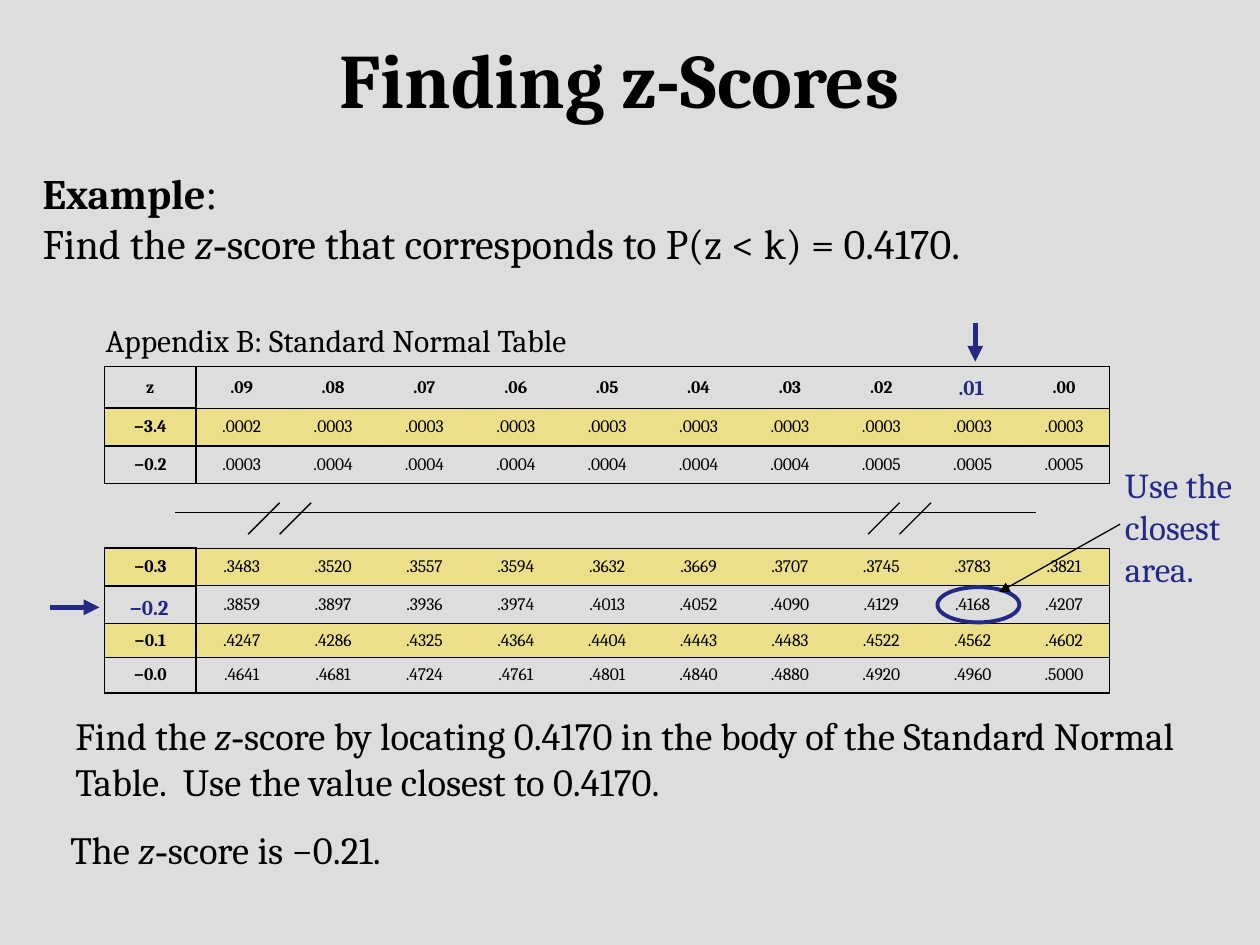
from dataclasses import dataclass

import pptx
import pptx.dml.color
import pptx.enum.shapes
import pptx.enum.text
import pptx.oxml
import pptx.oxml.ns
import pptx.util
from pptx.util import Inches

COLORS = {"background": "DDDDDD", "ink": "000000", "accent": "242985", "band": "FBE136"}
SERIF = "Cambria"
HYPHEN_FONT = "Times New Roman"
ANCHOR = pptx.enum.text.MSO_ANCHOR
SHAPE = pptx.enum.shapes.MSO_SHAPE
FIRST_COLUMN_RULE, ROW_RULE = 1, 0.75


@dataclass(frozen=True)
class Run:
    text: str
    bold: bool = False
    italic: bool = False
    font: str = SERIF


@dataclass(frozen=True)
class TextBlock:
    box: tuple[float, float, float, float]
    paragraphs: list[list[Run]]
    size: float
    color: str = "ink"
    wrap: bool = True


@dataclass(frozen=True)
class Line:
    start: tuple[float, float]
    end: tuple[float, float]
    color: str = "ink"
    width: float = 0.75
    arrow: bool = False


@dataclass(frozen=True)
class NormalTable:
    top: float
    heights: list[float]
    rows: list[str]
    banded_rows: set[int]
    has_header: bool = False


def rgb(name: str) -> pptx.dml.color.RGBColor:
    return pptx.dml.color.RGBColor.from_string(COLORS[name])


def style_font(font, size: float, color: str, bold: bool = False,
               italic: bool = False, face: str = SERIF) -> None:
    font.name, font.size = face, pptx.util.Pt(size)
    font.bold, font.italic = bold, italic
    font.color.rgb = rgb(color)


def inches(box: tuple) -> list:
    return [Inches(length) for length in box]


def z_score_sentence(before: str, after: str) -> list[Run]:
    return [Run(before), Run("z", italic=True), Run("-", font=HYPHEN_FONT), Run(after)]


def draw_text(slide, block: TextBlock) -> None:
    frame = slide.shapes.add_textbox(*inches(block.box)).text_frame
    frame.word_wrap = block.wrap
    for index, runs in enumerate(block.paragraphs):
        paragraph = frame.add_paragraph() if index else frame.paragraphs[0]
        for part in runs:
            run = paragraph.add_run()
            run.text = part.text
            style_font(run.font, block.size, block.color, part.bold, part.italic, part.font)


def draw_line(slide, line: Line) -> None:
    connector = slide.shapes.add_connector(
        pptx.enum.shapes.MSO_CONNECTOR.STRAIGHT, *inches(line.start), *inches(line.end))
    connector.line.color.rgb = rgb(line.color)
    connector.line.width = pptx.util.Pt(line.width)
    if line.arrow:
        pptx.oxml.ns.qn("a:tailEnd")
        tail = connector.line._get_or_add_ln().makeelement(
            pptx.oxml.ns.qn("a:tailEnd"), {"type": "triangle"})
        connector.line._get_or_add_ln().append(tail)
    properties = connector._element.spPr
    properties.append(properties.makeelement(pptx.oxml.ns.qn("a:effectLst"), {}))


def add_border(cell, side: str, width: float) -> None:
    """Draw one cell border; a width of zero hides it."""
    paint = f'<a:solidFill><a:srgbClr val="{COLORS["ink"]}"/></a:solidFill>' if width else "<a:noFill/>"
    cell._tc.get_or_add_tcPr().append(pptx.oxml.parse_xml(
        f'<a:ln{side} {pptx.oxml.ns.nsdecls("a")} w="{int(width * 12700)}">{paint}</a:ln{side}>'))


def fill_cell(cell, banded: bool) -> None:
    if not banded:
        cell.fill.background()
        return
    cell.fill.solid()
    cell.fill.fore_color.rgb = rgb("band")
    color = cell._tc.tcPr.find(pptx.oxml.ns.qn("a:solidFill"))[0]
    color.append(color.makeelement(pptx.oxml.ns.qn("a:alpha"), {"val": "50000"}))


def draw_table(slide, spec_table: NormalTable) -> None:
    rows = [row.split() for row in spec_table.rows]
    columns = len(rows[0])
    table = slide.shapes.add_table(
        len(rows), columns,
        *inches((0.83, spec_table.top, 7.98, sum(spec_table.heights)))).table
    table.first_row = table.horz_banding = False
    for r, values in enumerate(rows):
        table.rows[r].height = Inches(spec_table.heights[r])
        for c, value in enumerate(values):
            cell = table.cell(r, c)
            cell.vertical_anchor = ANCHOR.MIDDLE
            cell.text_frame.text = value
            paragraph = cell.text_frame.paragraphs[0]
            paragraph.alignment = pptx.enum.text.PP_ALIGN.CENTER
            bold = c == 0 or (spec_table.has_header and r == 0)
            style_font(paragraph.runs[0].font, 10, "ink", bold)
            row_rule = FIRST_COLUMN_RULE if c == 0 else ROW_RULE
            add_border(cell, "L", {0: ROW_RULE, 1: FIRST_COLUMN_RULE}.get(c, 0))
            add_border(cell, "R", {0: FIRST_COLUMN_RULE, columns - 1: ROW_RULE}.get(c, 0))
            add_border(cell, "T", row_rule)
            add_border(cell, "B", ROW_RULE if r == len(rows) - 1 else row_rule)
            fill_cell(cell, r in spec_table.banded_rows)


def draw_highlight(slide, box: tuple, label: str) -> None:
    """Cover a row or column heading with an accented one."""
    cover = slide.shapes.add_shape(SHAPE.RECTANGLE, *inches(box))
    cover.shadow.inherit = False
    cover.fill.solid()
    cover.fill.fore_color.rgb = rgb("background")
    cover.line.fill.background()
    frame = cover.text_frame
    frame.margin_top = frame.margin_bottom = 0
    frame.word_wrap = False
    frame.vertical_anchor = ANCHOR.TOP
    frame.text = label
    frame.paragraphs[0].alignment = pptx.enum.text.PP_ALIGN.LEFT
    style_font(frame.paragraphs[0].runs[0].font, 12, "accent", bold=True)


def main() -> None:
    presentation = pptx.Presentation()
    presentation.slide_width, presentation.slide_height = Inches(10), Inches(7.5)
    slide = presentation.slides.add_slide(presentation.slide_layouts[5])
    slide.background.fill.solid()
    slide.background.fill.fore_color.rgb = rgb("background")

    # Title
    title = slide.shapes.title
    title.left, title.top, title.width, title.height = inches((-0.08, 0.31, 10, 0.61))
    title.text_frame.text = "Finding z-Scores"
    title.text_frame.vertical_anchor = ANCHOR.MIDDLE
    title.text_frame.auto_size = pptx.enum.text.MSO_AUTO_SIZE.NONE
    style_font(title.text_frame.paragraphs[0].runs[0].font, 44, "ink", bold=True)

    # Two excerpts of the normal table
    draw_table(slide, NormalTable(2.91, [0.33, 0.3, 0.3], [
        "z .09 .08 .07 .06 .05 .04 .03 .02 .01 .00",
        "−3.4 .0002 .0003 .0003 .0003 .0003 .0003 .0003 .0003 .0003 .0003",
        "−0.2 .0003 .0004 .0004 .0004 .0004 .0004 .0004 .0005 .0005 .0005",
    ], {1}, has_header=True))
    draw_table(slide, NormalTable(4.35, [0.3, 0.3, 0.27, 0.28], [
        "−0.3 .3483 .3520 .3557 .3594 .3632 .3669 .3707 .3745 .3783 .3821",
        "−0.2 .3859 .3897 .3936 .3974 .4013 .4052 .4090 .4129 .4168 .4207",
        "−0.1 .4247 .4286 .4325 .4364 .4404 .4443 .4483 .4522 .4562 .4602",
        "−0.0 .4641 .4681 .4724 .4761 .4801 .4840 .4880 .4920 .4960 .5000",
    ], {0, 2}))

    # Break between the excerpts
    draw_line(slide, Line((1.39, 4.07), (8.22, 4.07)))
    for slash_left in (1.97, 2.22, 6.89, 7.14):
        draw_line(slide, Line((slash_left + 0.25, 3.99), (slash_left, 4.24)))

    # Ring around the closest area
    ring = slide.shapes.add_shape(SHAPE.OVAL, *inches((7.44, 4.66, 0.65, 0.28)))
    ring.shadow.inherit = False
    ring.fill.background()
    ring.line.color.rgb = rgb("accent")
    ring.line.width = pptx.util.Pt(2.25)

    # Example, caption, callout and solution
    for block in (
        TextBlock((0.24, 1.28, 8.83, 0.91), [
            [Run("Example", bold=True), Run(":", font=HYPHEN_FONT)],
            z_score_sentence("Find the ", "score that corresponds to P(z < k) = 0.4170."),
        ], 24),
        TextBlock((0.74, 2.5, 4.44, 0.4), [[Run("Appendix B: Standard Normal Table")]], 18, wrap=False),
        TextBlock((8.83, 3.63, 1.42, 1.1), [[Run("Use the closest area.")]], 20, "accent"),
        TextBlock((0.5, 5.6, 9.08, 0.83), [z_score_sentence(
            "Find the ", "score by locating 0.4170 in the body of the Standard Normal Table.  "
            "Use the value closest to 0.4170.")], 22),
        TextBlock((0.46, 6.51, 4.08, 0.47), [z_score_sentence("The ", "score is −0.21.")], 22),
    ):
        draw_text(slide, block)

    # Arrows and accented headings
    draw_line(slide, Line((8.89, 4.16), (7.93, 4.7), arrow=True))
    draw_line(slide, Line((0.4, 4.82), (0.79, 4.82), "accent", 3, arrow=True))
    draw_highlight(slide, (0.93, 4.72, 0.57, 0.2), "−0.2")
    draw_line(slide, Line((7.74, 2.56), (7.74, 2.87), "accent", 3, arrow=True))
    draw_highlight(slide, (7.51, 2.97, 0.43, 0.2), ".01")

    presentation.save("out.pptx")


if __name__ == "__main__":
    main()
